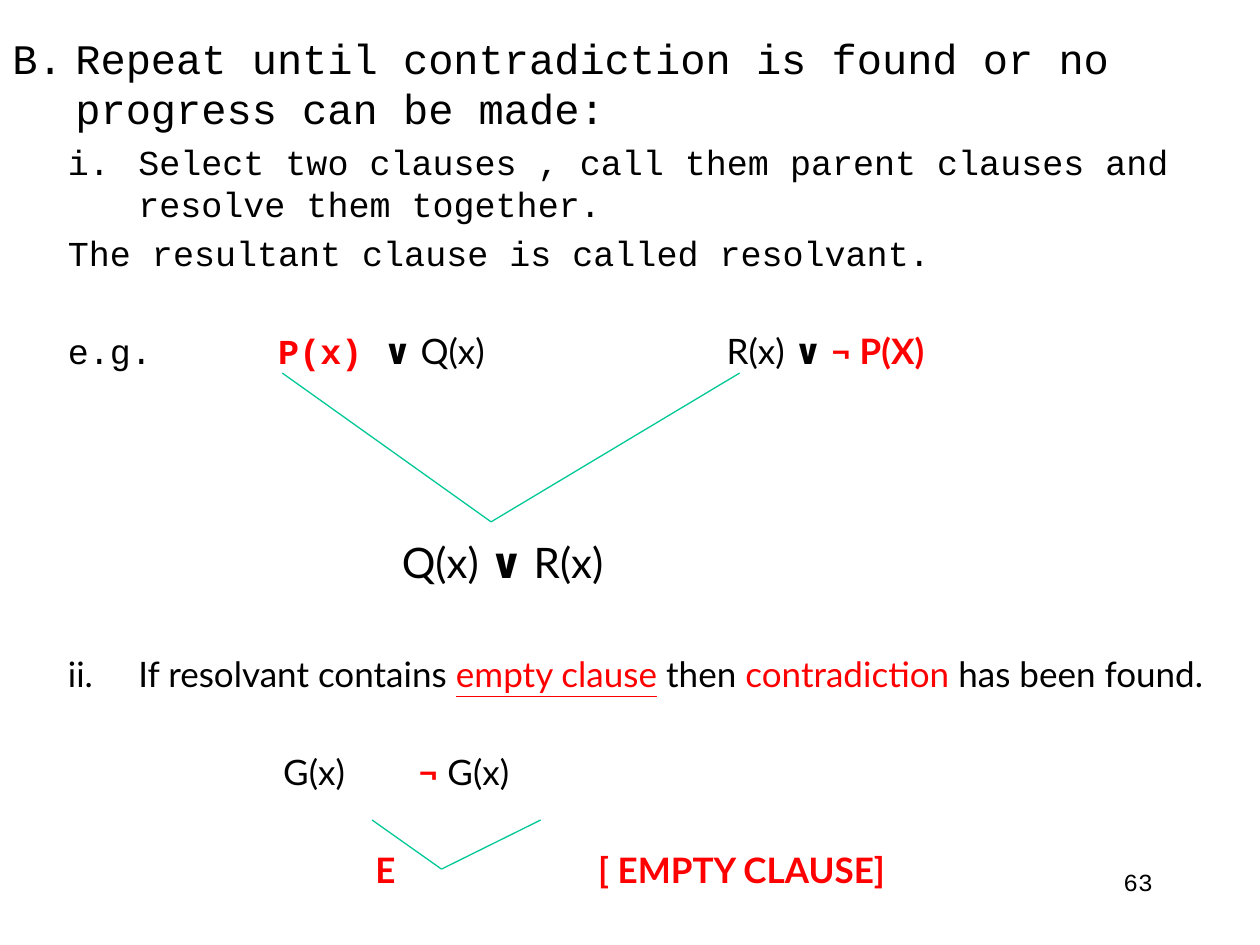
from lxml.etree import SubElement
from pptx import Presentation
from pptx.dml.color import RGBColor
from pptx.enum.shapes import MSO_CONNECTOR as Connector
from pptx.enum.text import PP_ALIGN as Align
from pptx.oxml.ns import qn
from pptx.util import Cm, Pt

BLACK, RED, GREEN = "000000", "FF0000", "00C896"
MONO, SANS = "Courier New", "Lato"


def colour(code):
    return RGBColor.from_string(code)


class SlideWriter:
    """Holds the text style and the current slide."""

    style = {"name": SANS, "size": Pt(20), "bold": False, "underline": False}

    def __init__(self, slide):
        self.slide = slide

    def text_box(self, left, top, width, height):
        box = self.slide.shapes.add_textbox(*map(Cm, (left, top, width, height)))
        box.text_frame.word_wrap = True
        return box.text_frame

    def paragraph(self, frame, runs, before=0, margin=0, indent=0,
                  number=None, align=Align.LEFT, **style):
        first = frame.paragraphs[0]
        line = frame.add_paragraph() if first.runs else first
        line.alignment = align
        line.space_before = Pt(before)
        props = line._p.get_or_add_pPr()
        props.set("marL", str(Cm(margin)))
        props.set("indent", str(Cm(indent)))
        if number:
            kind, start = number
            SubElement(props, qn("a:buAutoNum"), type=kind, startAt=str(start))
        for text, changes in runs:
            run = line.add_run()
            run.text = text
            values = {**self.style, "color": BLACK, **style, **changes}
            run.font.color.rgb = colour(values.pop("color"))
            for attribute, value in values.items():
                setattr(run.font, attribute, value)

    def label(self, left, top, width, runs, **options):
        self.paragraph(self.text_box(left, top, width, 1.27), runs, **options)

    def line(self, start, end):
        link = self.slide.shapes.add_connector(
            Connector.STRAIGHT, *map(Cm, (*start, *end)))
        link.line.color.rgb = colour(GREEN)
        link.line.width = Pt(0.75)
        SubElement(link._element.spPr, qn("a:effectLst"))

    def resolution(self, left_parent, right_parent, resolvant):
        for parent in (left_parent, right_parent):
            self.line(parent, resolvant)


def main():
    deck = Presentation()
    deck.slide_width, deck.slide_height = Cm(25.4), Cm(19.05)
    writer = SlideWriter(deck.slides.add_slide(deck.slide_layouts[6]))

    plain, bold = {}, {"bold": True}
    red, red_bold = {"color": RED}, {"color": RED, "bold": True}
    step = {"margin": 2.54, "indent": -1.42}
    near, far = 4, 32  # space before a line, in points
    example_top, pair_top, empty_top = 6.52, 15.01, 16.98

    # Procedure and first step
    procedure = writer.text_box(0, 0.53, 24.89, 18.52)
    writer.paragraph(
        procedure,
        [("Repeat until contradiction is found or no progress can be made:", plain)],
        before=4.8, margin=1.27, indent=-1.27, number=("alphaUcPeriod", 2),
        name=MONO, size=Pt(24))
    writer.paragraph(
        procedure,
        [("Select two clauses , call them parent clauses and resolve them together.",
          plain)],
        before=near, number=("romanLcPeriod", 1), name=MONO, **step)
    writer.paragraph(
        procedure, [("The resultant clause is called resolvant.", plain)],
        before=near, margin=1.12, name=MONO)

    # Example: parent clauses and their resolvant
    writer.paragraph(
        procedure,
        [("P(x) ", {"name": MONO, **red_bold}), ("∨ ", bold), ("Q(x)", plain)],
        before=far, indent=5.36)
    writer.label(1.12, example_top, 3, [("e.g.", plain)], name=MONO)
    writer.label(14.4, example_top, 6,
                 [("R(x) ", plain), ("∨ ", bold), ("¬ P(X)", red_bold)])
    writer.paragraph(
        procedure, [("Q(x) ", plain), ("∨ ", bold), ("R(x)", plain)],
        before=94.4, indent=7.85, size=Pt(24))

    # Second step: the empty clause
    writer.paragraph(
        procedure,
        [("If resolvant contains ", plain),
         ("empty clause", {"underline": True, **red}), (" then ", plain),
         ("contradiction", red), (" has been found.", plain)],
        before=37.6, number=("romanLcPeriod", 2), **step)
    writer.paragraph(procedure, [("G(x)", plain)], before=far, indent=5.46)
    writer.label(8.18, pair_top, 4, [("¬", red_bold), (" G(x)", plain)])
    writer.paragraph(procedure, [("E", red_bold)], before=far, indent=7.32)
    writer.label(11.81, empty_top, 8, [("[ EMPTY CLAUSE]", red_bold)])

    # Slide number
    writer.label(18.21, 17.35, 5.28, [("63", plain)], align=Align.RIGHT,
                 name=MONO, size=Pt(14))

    # Lines from parents to resolvants
    writer.resolution((5.69, 7.52), (14.91, 7.52), (9.9, 10.52))
    writer.resolution((7.5, 16.53), (10.9, 16.53), (8.9, 17.52))

    deck.save("out.pptx")


if __name__ == "__main__":
    main()
